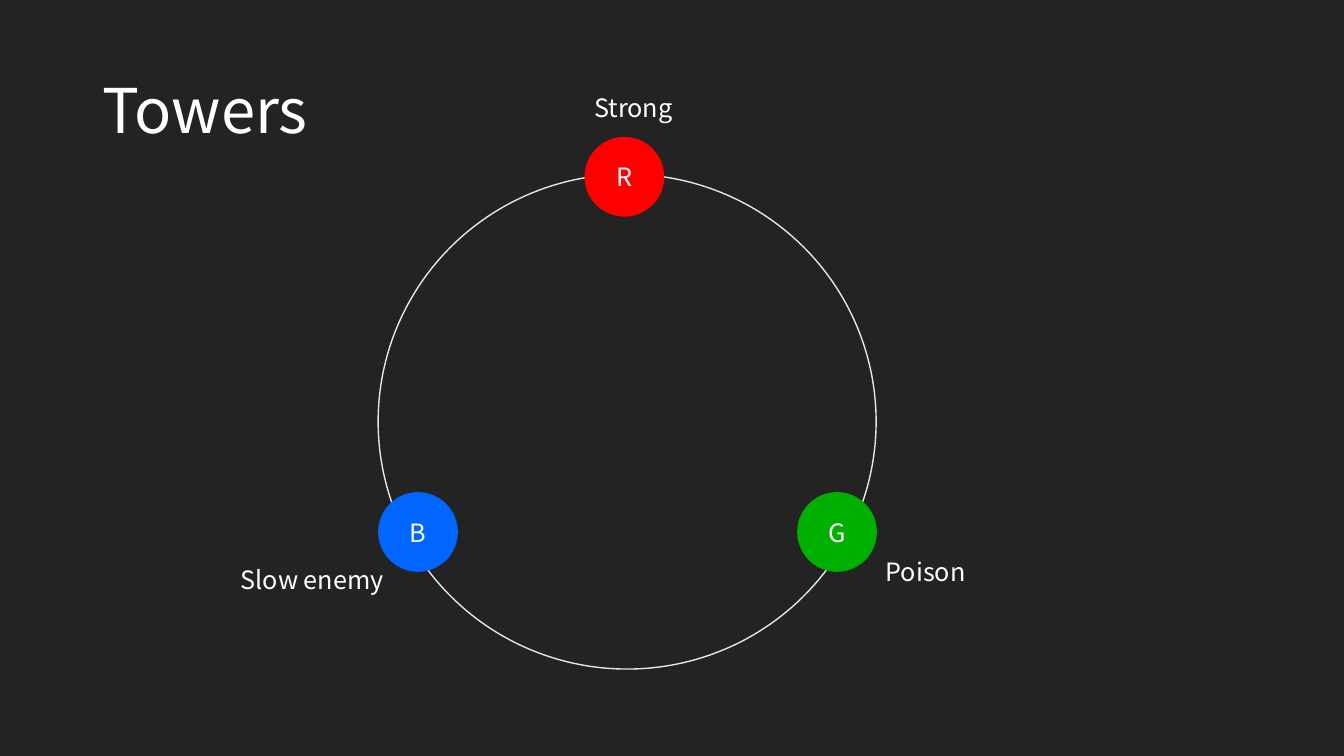
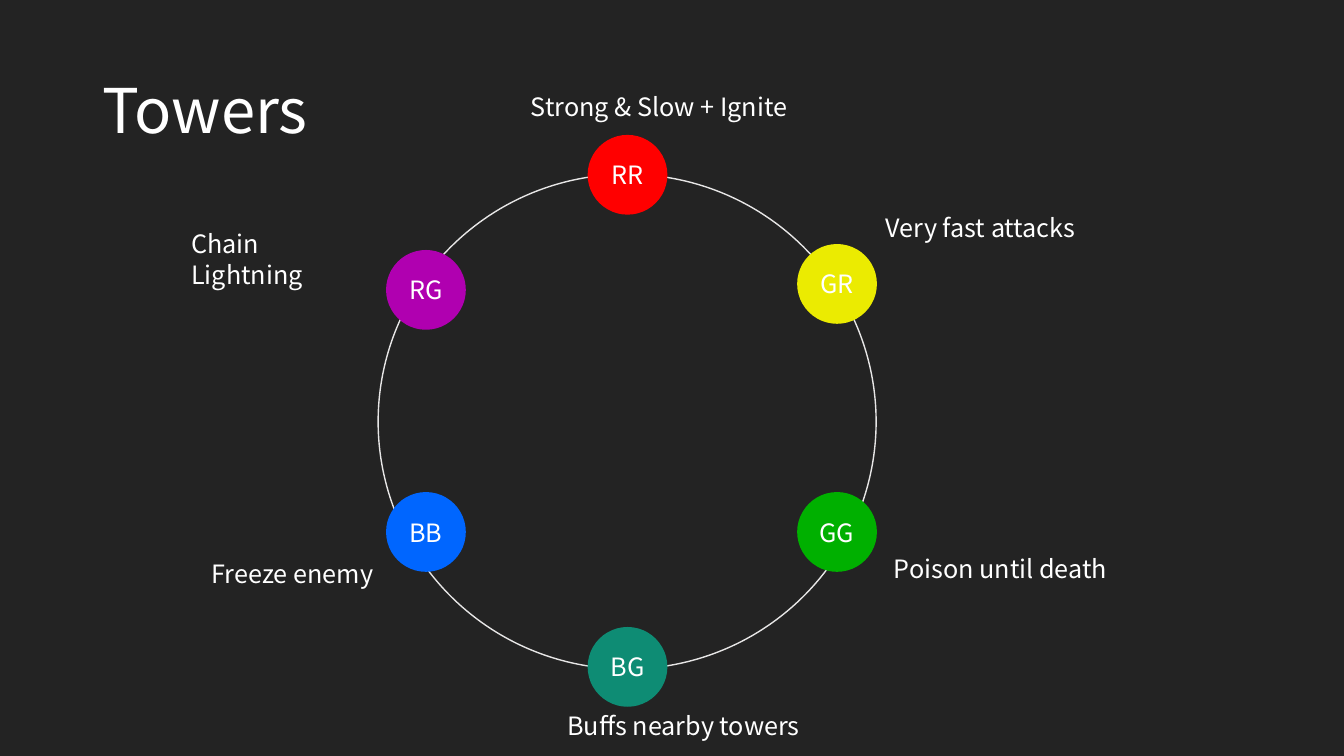
import pptx
import pptx.util
import pptx.dml.color
import pptx.enum.shapes
import pptx.enum.text

Cm, Pt = pptx.util.Cm, pptx.util.Pt
ALIGN = pptx.enum.text.PP_ALIGN
MIDDLE = pptx.enum.text.MSO_ANCHOR.MIDDLE
OVAL = pptx.enum.shapes.MSO_SHAPE.OVAL

FONT = "Noto Sans CJK KR"
COLORS = {
    "back": "232323", "text": "FFFFFF", "ring": "E7E6E6",
    "red": "FF0000", "green": "00B000", "blue": "0066FF",
    "purple": "B000B0", "teal": "0E8C74", "yellow": "EBEB01",
}

# Lengths are in centimetres.
TITLE_BOX = (2.33, 1.01, 29.21, 3.68)
RING_BOX = (9.53, 4.39, 12.55, 12.47)
NODE = 2.01
LABEL_TALL = 1.03
EAST = 20.09
SOUTH = 12.4

# Each tower: letters, colour, (left, top), label, label (left, top, width)
SLIDES = [
    ("Towers", [
        ("R", "red", (14.73, 3.45), "Strong", (14.73, 2.21, 2.62)),
        ("G", "green", (EAST, SOUTH), "Poison", (22.07, 13.89, 2.59)),
        ("B", "blue", (9.53, SOUTH), "Slow enemy", (5.82, 14.1, 4.24)),
    ]),
    ("Towers", [
        ("RR", "red", (14.81, 3.4), "Strong & Slow + Ignite", (13.13, 2.18, 7.59)),
        ("GR", "yellow", (EAST, 6.15), "Very fast attacks", (22.07, 5.23, 5.44)),
        ("GG", "green", (EAST, SOUTH), "Poison until death", (22.28, 13.82, 6.65)),
        ("BG", "teal", (14.81, 15.8), "Buffs nearby towers", (14.05, 17.78, 6.71)),
        ("BB", "blue", (9.73, SOUTH), "Freeze enemy", (5.08, 13.94, 7.59)),
        ("RG", "purple", (9.73, 6.3), "Chain Lightning", (4.57, 5.64, 5)),
    ]),
]


def tint(name):
    """Return the named colour."""
    return pptx.dml.color.RGBColor.from_string(COLORS[name])


def write(shape, text, size=18, align=ALIGN.LEFT):
    """Put one styled paragraph into a shape and return it."""
    frame = shape.text_frame
    frame.word_wrap = True
    frame.text = text
    para = frame.paragraphs[0]
    para.alignment = align
    para.font.name = FONT
    para.font.size = Pt(size)
    para.font.color.rgb = tint("text")
    return para


def add_title(slide, text):
    """Place and style the slide title."""
    title = slide.shapes.title
    title.left, title.top, title.width, title.height = map(Cm, TITLE_BOX)
    write(title, text, 44).line_spacing = 0.9
    title.text_frame.auto_size = pptx.enum.text.MSO_AUTO_SIZE.NONE
    title.text_frame.vertical_anchor = MIDDLE


def add_ring(slide):
    """Draw the thin circle that joins the towers."""
    ring = slide.shapes.add_shape(OVAL, *map(Cm, RING_BOX))
    ring.shadow.inherit = False
    ring.fill.background()
    ring.line.color.rgb = tint("ring")
    ring.line.width = Pt(1)


def add_node(slide, text, color, spot):
    """Draw one tower as a filled circle with its letters."""
    node = slide.shapes.add_shape(OVAL, *map(Cm, (*spot, NODE, NODE)))
    node.shadow.inherit = False
    node.fill.solid()
    node.fill.fore_color.rgb = tint(color)
    node.line.fill.background()
    write(node, text, align=ALIGN.CENTER)
    node.text_frame.vertical_anchor = MIDDLE


def add_label(slide, text, place):
    """Write what a tower does next to it."""
    write(slide.shapes.add_textbox(*map(Cm, (*place, LABEL_TALL))), text)


deck = pptx.Presentation()
deck.slide_width, deck.slide_height = Cm(33.87), Cm(19.05)
back = deck.slide_master.background.fill
back.solid()
back.fore_color.rgb = tint("back")

for title, towers in SLIDES:
    slide = deck.slides.add_slide(deck.slide_layouts.get_by_name("Title Only"))
    add_title(slide, title)
    add_ring(slide)
    for text, color, spot, label, place in towers:
        add_node(slide, text, color, spot)
        add_label(slide, label, place)

deck.save("out.pptx")
